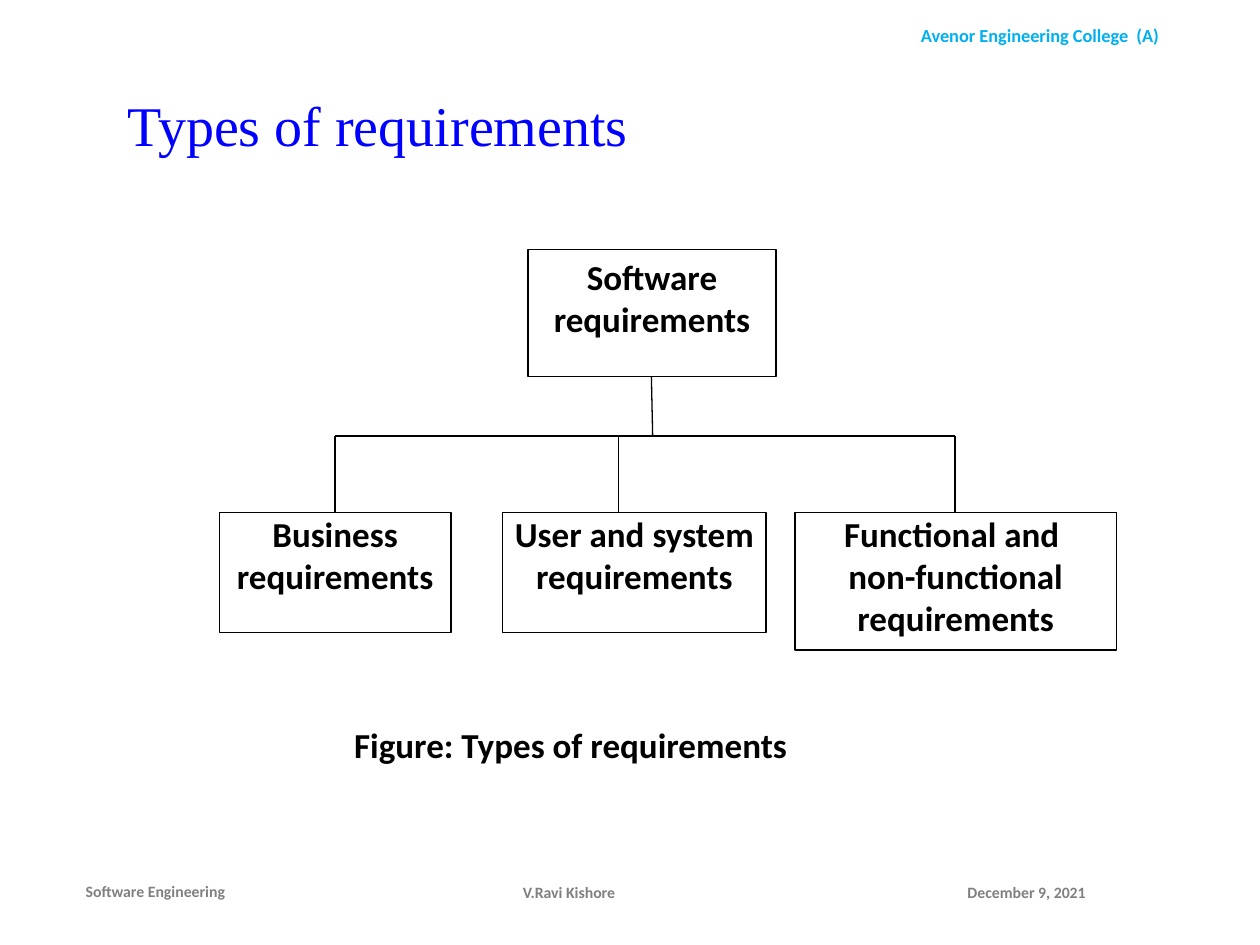
from lxml.etree import SubElement
from pptx import Presentation
from pptx.dml.color import RGBColor
from pptx.enum.shapes import MSO_CONNECTOR, MSO_SHAPE
from pptx.enum.text import MSO_ANCHOR, PP_ALIGN
from pptx.oxml.ns import qn
from pptx.util import Inches, Pt

COLORS = {"header": "00B0F0", "footer": "808080", "title": "0000FF",
          "ink": "000000", "paper": "FFFFFF"}


class RequirementsSlide:
    """Holds the style and the slide, and draws each kind of element."""

    def __init__(self, deck):
        self.page = deck.slides.add_slide(deck.slide_layouts[5])

    def color(self, name):
        return RGBColor.from_string(COLORS[name])

    def set_text(self, shape, lines, size, color, align=PP_ALIGN.CENTER,
                 anchor=MSO_ANCHOR.TOP, insets=(0.1, 0.05), font="Calibri", bold=True):
        frame = shape.text_frame
        frame.word_wrap = True
        frame.vertical_anchor = anchor
        frame.margin_left = frame.margin_right = Inches(insets[0])
        frame.margin_top = frame.margin_bottom = Inches(insets[1])
        frame.text = "\n".join(lines)
        for para in frame.paragraphs:
            para.alignment = align
            para.font.name = font
            para.font.size = Pt(size)
            para.font.bold = bold
            para.font.color.rgb = self.color(color)

    def title(self, text, bounds):
        title = self.page.shapes.title
        title.left, title.top, title.width, title.height = map(Inches, bounds)
        self.set_text(title, [text], 32, "title", anchor=MSO_ANCHOR.MIDDLE,
                      font="Times New Roman", bold=False)
        title.text_frame.paragraphs[0].line_spacing = 0.9

    def label(self, text, bounds, size, color, **style):
        box = self.page.shapes.add_textbox(*map(Inches, bounds))
        self.set_text(box, [text], size, color, **style)

    def box(self, lines, bounds, outline="ink", insets=(0, 0)):
        box = self.page.shapes.add_shape(MSO_SHAPE.RECTANGLE, *map(Inches, bounds))
        box.shadow.inherit = False
        box.fill.solid()
        box.fill.fore_color.rgb = self.color("paper")
        box.line.color.rgb = self.color(outline)
        box.line.width = Pt(0.75)
        self.set_text(box, lines, 20, "ink", insets=insets)

    def line(self, start, end):
        line = self.page.shapes.add_connector(
            MSO_CONNECTOR.STRAIGHT, *map(Inches, (*start, *end)))
        line.line.color.rgb = self.color("ink")
        line.line.width = Pt(0.75)
        SubElement(line._element.spPr, qn("a:effectLst"))


deck = Presentation()
deck.slide_width, deck.slide_height = Inches(10), Inches(7.5)
slide = RequirementsSlide(deck)

slide.label("Avenor Engineering College  (A)", (6.82, 0.14, 2.87, 0.28), 10.5, "header")
footers = [
    ("Software Engineering", (0.61, 6.87, 1.58, 0.4), PP_ALIGN.JUSTIFY, (0.07, 0.04)),
    ("December 9, 2021", (7.58, 6.88, 1.73, 0.4), PP_ALIGN.LEFT, (0.1, 0.05)),
    ("V.Ravi Kishore", (3.39, 6.88, 2.25, 0.4), PP_ALIGN.CENTER, (0.1, 0.05)),
]
for text, bounds, align, insets in footers:
    slide.label(text, bounds, 9, "footer", align=align,
                anchor=MSO_ANCHOR.MIDDLE, insets=insets)
slide.title("Types of requirements", (0, 0.71, 6, 0.62))

BAR_TOP, CHILD_TOP = 3.46, 4.07
slide.box(["Software requirements"], (4.19, 1.98, 1.97, 1.01), insets=(0.1, 0.05))
children = [
    (["Business", "requirements"], 1.74, 1.84, 0.95, 2.66),
    (["User and system requirements"], 3.99, 2.09, 0.95, 4.91),
    (["Functional and ", "non-functional requirements"], 6.31, 2.55, 1.09, 7.58),
]
for lines, left, width, height, stem in children:
    slide.box(lines, (left, CHILD_TOP, width, height))
    slide.line((stem, BAR_TOP), (stem, CHILD_TOP))
slide.line((children[0][-1], BAR_TOP), (children[-1][-1], BAR_TOP))
slide.line((5.17, 2.99), (5.18, BAR_TOP))
slide.box(["Figure: Types of requirements"], (2.33, 5.74, 4.4, 0.55), outline="paper")

deck.save("out.pptx")
